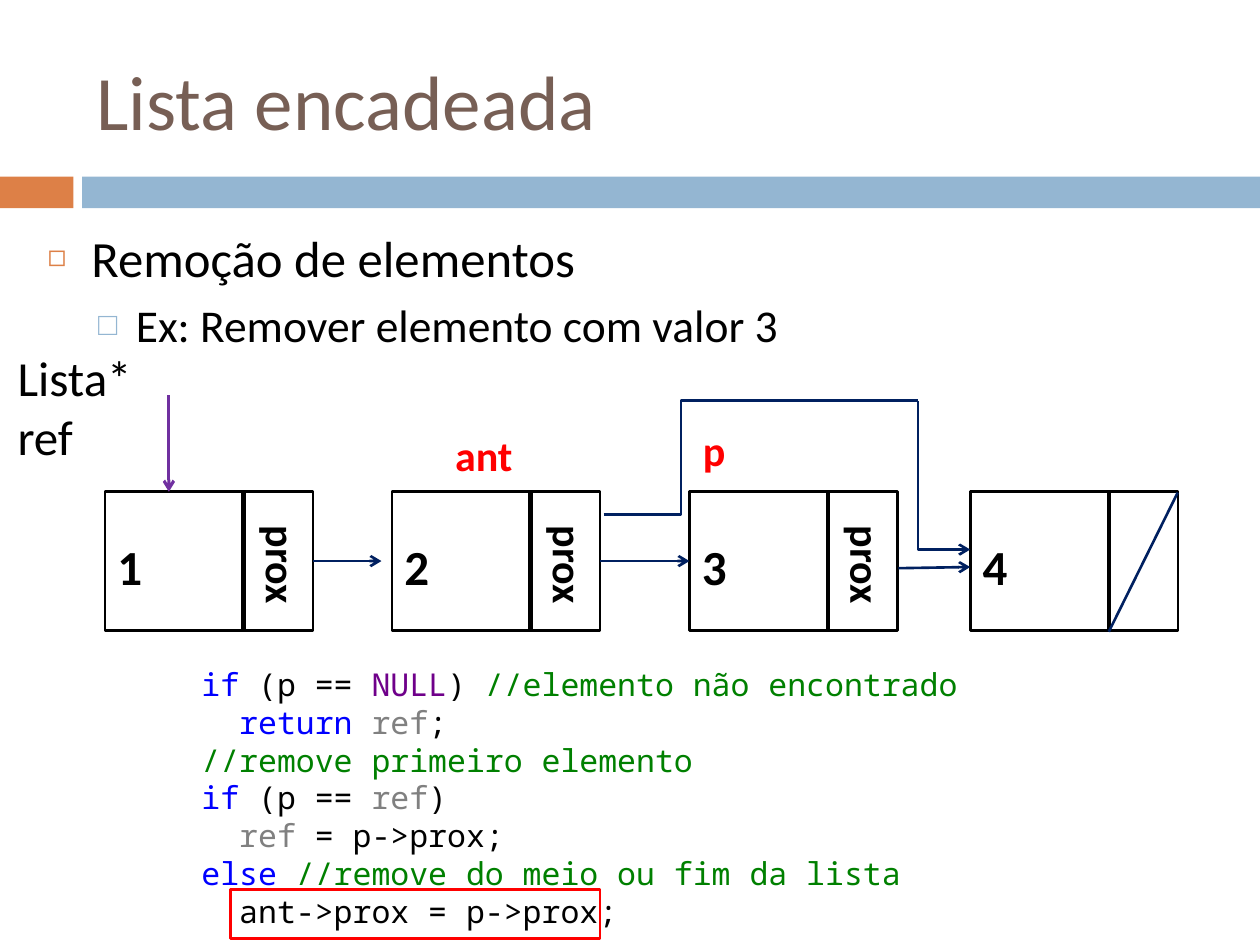
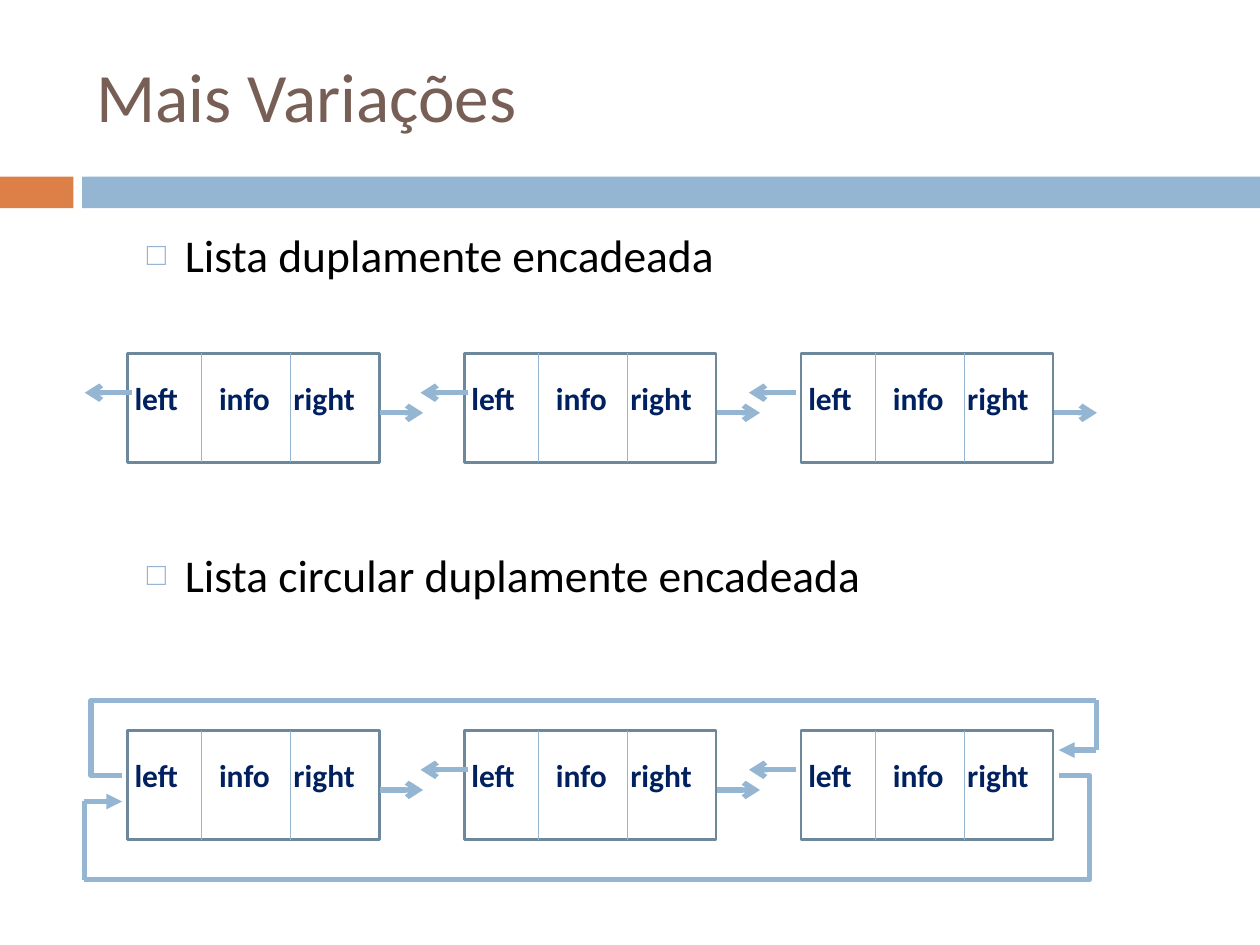
from dataclasses import dataclass

from lxml.etree import SubElement
from pptx import Presentation
from pptx.dml.color import RGBColor
from pptx.enum.shapes import MSO_CONNECTOR as Link, MSO_SHAPE as Shape
from pptx.enum.text import MSO_ANCHOR as Anchor, MSO_AUTO_SIZE as AutoSize, PP_ALIGN as Align
from pptx.oxml.ns import qn
from pptx.util import Pt

LEFT_SIDE, RIGHT_SIDE = 1, 3


@dataclass(frozen=True)
class Theme:
    font: str = "Calibri"
    code_font: str = "Noto Sans Mono"
    # colours
    title: str = "775F55"
    accent: str = "DD8047"
    band: str = "94B6D2"
    black: str = "000000"
    navy: str = "002060"
    purple: str = "7030A0"
    red: str = "FF0000"
    frame: str = "6D879B"
    keyword: str = "0000FF"
    constant: str = "6F008A"
    comment: str = "008000"
    parameter: str = "808080"
    # type sizes
    title_size: float = 44
    small_title_size: float = 39.6
    item_size: float = 29
    subitem_size: float = 26
    value_size: float = 28
    pointer_size: float = 24
    small_size: float = 18


class Deck:
    """Holds the theme and the slide being drawn; all lengths are in points."""

    def __init__(self, theme):
        self.theme = theme
        self.prs = Presentation()
        self.prs.slide_width, self.prs.slide_height = Pt(720), Pt(540)
        self.slide = None

    def new_slide(self, title, size, top):
        self.slide = self.prs.slides.add_slide(self.prs.slide_layouts[1])
        self.box(0, 101, 42, 18, fill=self.theme.accent)
        self.box(47, 101, 673, 18, fill=self.theme.band)
        heading = self.slide.shapes.title
        self.place(heading, 48, top, 642, 78)
        frame = heading.text_frame
        frame.text = title
        frame.vertical_anchor = Anchor.MIDDLE
        frame.auto_size = AutoSize.NONE
        frame.paragraphs[0].alignment = Align.LEFT
        self.style(frame.paragraphs[0].runs[0], size, self.theme.title)

    def place(self, shape, x, y, w, h):
        shape.left, shape.top, shape.width, shape.height = Pt(x), Pt(y), Pt(w), Pt(h)

    def style(self, run, size, color, bold=False, font=None):
        run.font.name = font or self.theme.font
        run.font.size = Pt(size)
        run.font.bold = bold
        run.font.color.rgb = RGBColor.from_string(color)

    def items(self, x, w, entries):
        """Fill the body; entries are (text, level, space before)."""
        t = self.theme
        looks = [(t.item_size, 25, 25, "◻", t.accent, 60),
                 (t.subitem_size, 50.4, 21.6, "□", t.band, 70)]
        body = self.slide.placeholders[1]
        self.place(body, x, 126, w, 354)
        frame = body.text_frame
        frame.text = "\n".join(text for text, _, _ in entries)
        frame.auto_size = AutoSize.NONE
        for paragraph, (_, level, before) in zip(frame.paragraphs, entries):
            size, margin, hang, mark, color, percent = looks[level]
            paragraph.level = level
            paragraph.space_before = Pt(before)
            self.style(paragraph.runs[0], size, t.black)
            props = paragraph._p.get_or_add_pPr()
            props.set("marL", str(Pt(margin)))
            props.set("indent", str(-Pt(hang)))
            SubElement(SubElement(props, qn("a:buClr")), qn("a:srgbClr"), val=color)
            SubElement(props, qn("a:buSzPct"), val=str(percent * 1000))
            SubElement(props, qn("a:buChar"), char=mark)

    def box(self, x, y, w, h, fill=None, line=None):
        shape = self.slide.shapes.add_shape(Shape.RECTANGLE, Pt(x), Pt(y), Pt(w), Pt(h))
        shape.shadow.inherit = False
        if fill:
            shape.fill.solid()
            shape.fill.fore_color.rgb = RGBColor.from_string(fill)
        else:
            shape.fill.background()
        if line:
            shape.line.color.rgb = RGBColor.from_string(line)
            shape.line.width = Pt(1.5)
        else:
            shape.line.fill.background()
        return shape

    def label(self, text, x, y, w, h, size, color, bold=True, rotation=0, wrap=True):
        area = self.slide.shapes.add_textbox(Pt(x), Pt(y), Pt(w), Pt(h))
        area.rotation = rotation
        area.text_frame.word_wrap = wrap
        area.text_frame.text = text
        self.style(area.text_frame.paragraphs[0].runs[0], size, color, bold)

    def line(self, start, end, color, width, head=None, bend=None, source=None, target=None):
        """Straight line, or an elbow that turns at the fraction bend of its width."""
        kind = Link.STRAIGHT if bend is None else Link.ELBOW
        link = self.slide.shapes.add_connector(kind, *map(Pt, (*start, *end)))
        if source is not None:
            link.begin_connect(source, RIGHT_SIDE)
        if target is not None:
            link.end_connect(target, LEFT_SIDE)
        link.line.color.rgb = RGBColor.from_string(color)
        link.line.width = Pt(width)
        props = link._element.spPr
        if bend is not None:
            SubElement(props.find(".//" + qn("a:avLst")), qn("a:gd"),
                       name="adj1", fmla=f"val {round(bend * 100000)}")
        if head:
            SubElement(link.line._get_or_add_ln(), qn("a:tailEnd"), type=head)
        SubElement(props, qn("a:effectLst"))

    def code(self, x, y, w, h, lines):
        """Lines are (indented, [(text, colour), ...])."""
        frame = self.slide.shapes.add_textbox(Pt(x), Pt(y), Pt(w), Pt(h)).text_frame
        frame.word_wrap = True
        for number, (indented, parts) in enumerate(lines):
            paragraph = frame.add_paragraph() if number else frame.paragraphs[0]
            paragraph.line_spacing = Pt(21.6)
            if indented:
                paragraph._p.get_or_add_pPr().set("marL", str(Pt(21.6)))
            for text, color in parts:
                run = paragraph.add_run()
                run.text = text
                self.style(run, self.theme.small_size, color, font=self.theme.code_font)


def removal_slide(deck):
    t = deck.theme
    deck.new_slide("Lista encadeada", t.title_size, 18)
    deck.items(20, 663, [("Remoção de elementos", 0, 7),
                         ("Ex: Remover elemento com valor 3", 1, 5.5)])

    # List nodes
    top, width, height, split = 281, 118.8, 79.2, 79.2
    nodes = []
    for value, x in enumerate((60, 224, 394, 554.4), start=1):
        nodes.append(deck.box(x, top, width, height, line=t.black))
        deck.line((x + split, top), (x + split, top + height), t.black, 2.5)
        deck.label(str(value), x, top + 22, 91, 41, t.value_size, t.black)
        if value < 4:
            deck.label("prox", x + 71, top + 25, 61, 36, t.pointer_size, t.black, rotation=90)
    deck.line((633.6, 361), (673, 281.5), t.navy, 1.5)

    # Links between nodes
    first, second, third, _ = nodes
    middle = top + height / 2
    deck.line((178.8, middle), (218, middle), t.navy, 1.5, "arrow", source=first)
    deck.line((342.8, middle), (394, middle), t.navy, 1.5, "arrow", source=second, target=third)
    deck.line((513.4, 324.7), (554.4, 324), t.navy, 1.5, "arrow")

    # New link that skips node 3
    deck.line((345, 294), (524.5, 229), t.navy, 1.5, bend=0.246)
    deck.line((524.5, 229), (554.4, 314), t.navy, 1.5, "arrow", bend=0)

    # Pointers
    deck.label("Lista* ref", 3, 195, 117, 41, t.value_size, t.black, bold=False, wrap=False)
    deck.line((96.5, 226), (96.5, 281), t.purple, 1.75, "arrow")
    deck.label("ant", 253, 242, 78, 36, t.pointer_size, t.red)
    deck.label("p", 394.6, 239, 78, 36, t.pointer_size, t.red)

    # Code
    deck.code(108, 376.5, 497, 160, [
        (False, [("if", t.keyword), (" (p == ", t.black), ("NULL", t.constant),
                 (")", t.black), (" //elemento não encontrado", t.comment)]),
        (True, [("return", t.keyword), (" ", t.black), ("ref", t.parameter), (";", t.black)]),
        (False, [("//remove primeiro elemento", t.comment)]),
        (False, [("if", t.keyword), (" (p == ", t.black), ("ref", t.parameter), (")", t.black)]),
        (True, [("ref", t.parameter), (" = p->prox;", t.black)]),
        (False, [("else", t.keyword), (" ", t.black),
                 ("//remove do meio ou fim da lista", t.comment)]),
        (True, [("ant->prox = p->prox;", t.black)]),
    ])
    deck.box(131.8, 508.3, 211, 28, line=t.red)


def double_list(deck, top, circular):
    """Row of three nodes; a circular list has no loose outer arrows."""
    t = deck.theme
    height = 62.3
    starts = (75.5, 267.3, 455)
    for index, left_start in enumerate(starts):
        x = 72.8 + 192.5 * index
        deck.box(x, top, 144, height, line=t.frame)
        for split in (42.5, 93.3):
            deck.line((x + split, top), (x + split, top + height), t.band, 0.79)
        for name, offset in (("left", -3), ("info", 45.3), ("right", 87.8)):
            deck.label(name, x + offset, top + 10.8, 60, 29, t.small_size, t.navy)
        if not (circular and index == 0):
            y = top + 22.4
            deck.line((left_start, y), (left_start - 27, y), t.band, 3, "arrow")
        if not (circular and index == 2):
            y = top + 33.9
            deck.line((x + 144.4, y), (x + 169, y), t.band, 3, "arrow")


def variations_slide(deck):
    t = deck.theme
    deck.new_slide("Mais Variações", t.small_title_size, 15)
    deck.items(48, 642, [("Lista duplamente encadeada", 1, 5.5),
                         ("Lista circular duplamente encadeada", 1, 152)])
    double_list(deck, 202, circular=False)
    double_list(deck, 417.5, circular=True)

    # Lower loop: last node to first
    deck.line((605, 443.3), (48.3, 502.6), t.band, 3, bend=-0.032)
    deck.line((48.3, 502.6), (48.3, 458), t.band, 3)
    deck.line((48.3, 458), (69.8, 458), t.band, 3, "triangle")

    # Upper loop: first node to last
    deck.line((69.8, 443.3), (626.5, 400.3), t.band, 3, bend=-0.032)
    deck.line((626.5, 400.3), (626.5, 428.6), t.band, 3)
    deck.line((626.5, 428.6), (605, 428.6), t.band, 3, "triangle")


def main():
    deck = Deck(Theme())
    removal_slide(deck)
    variations_slide(deck)
    deck.prs.save("out.pptx")


if __name__ == "__main__":
    main()
